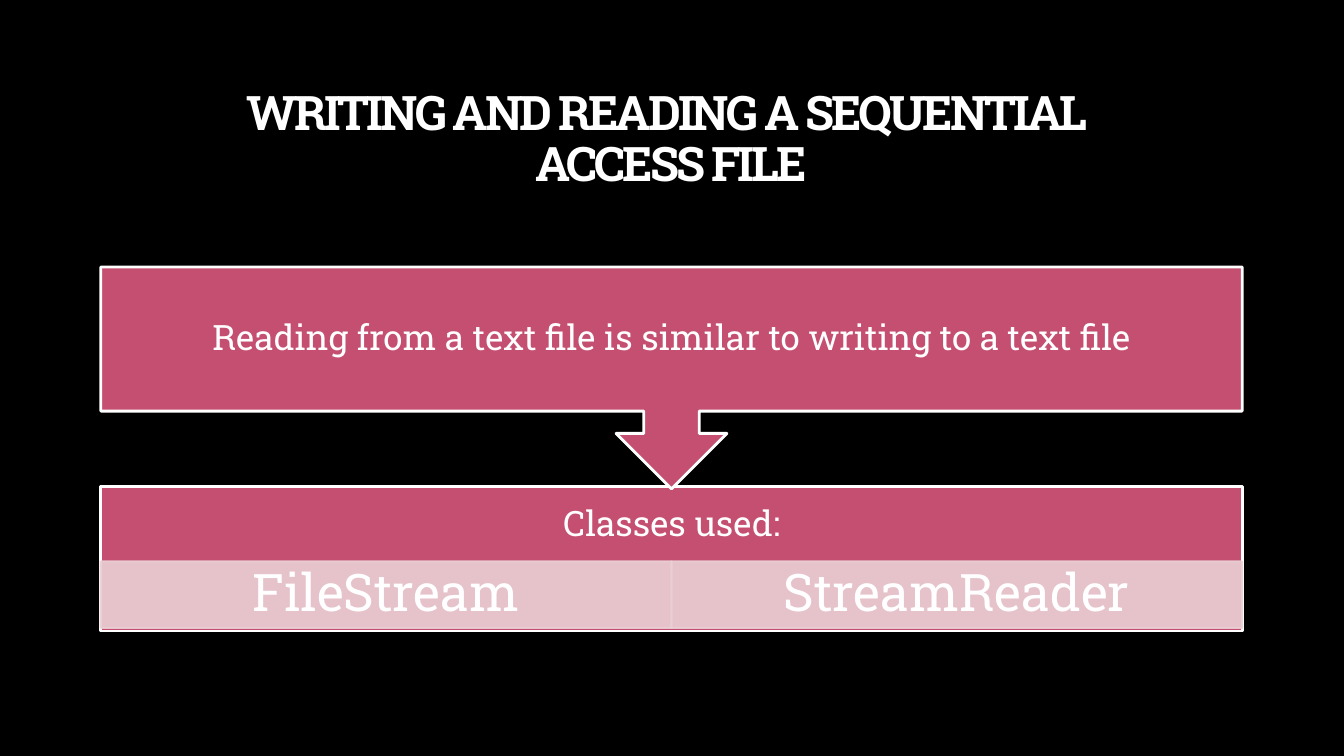
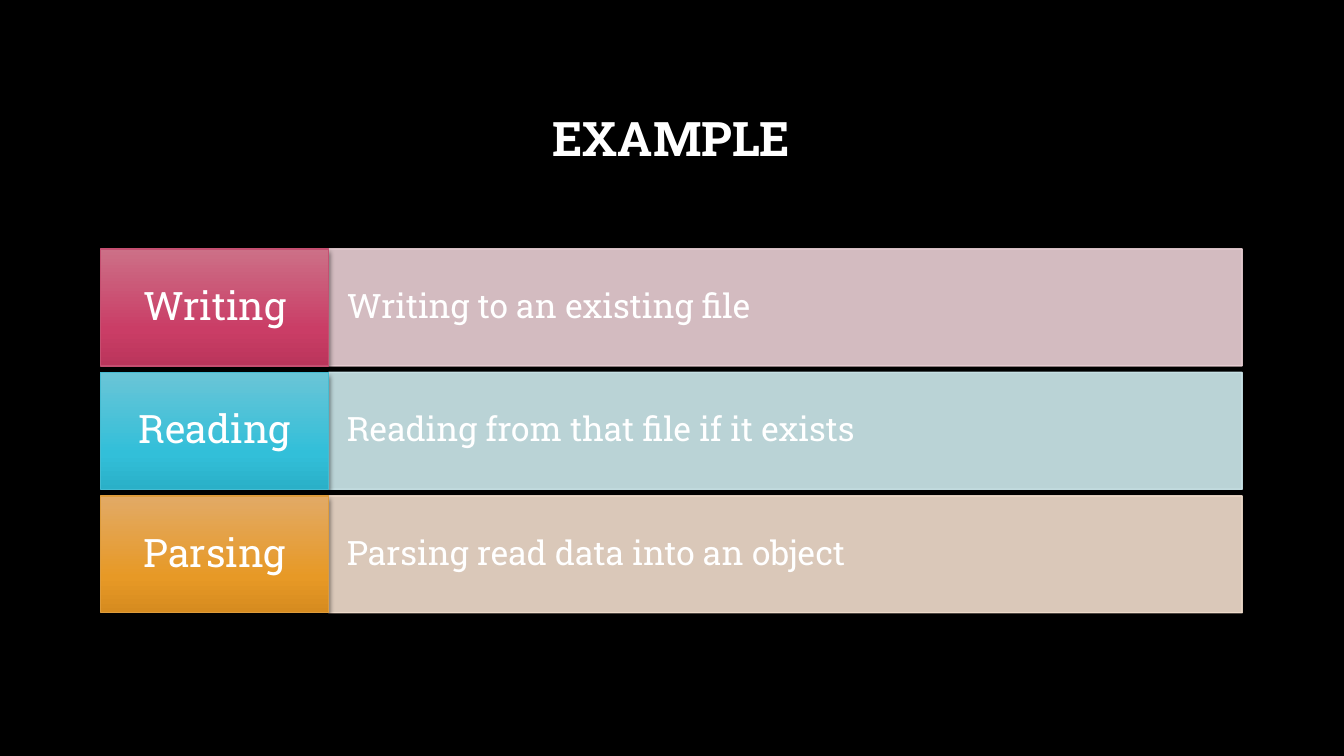
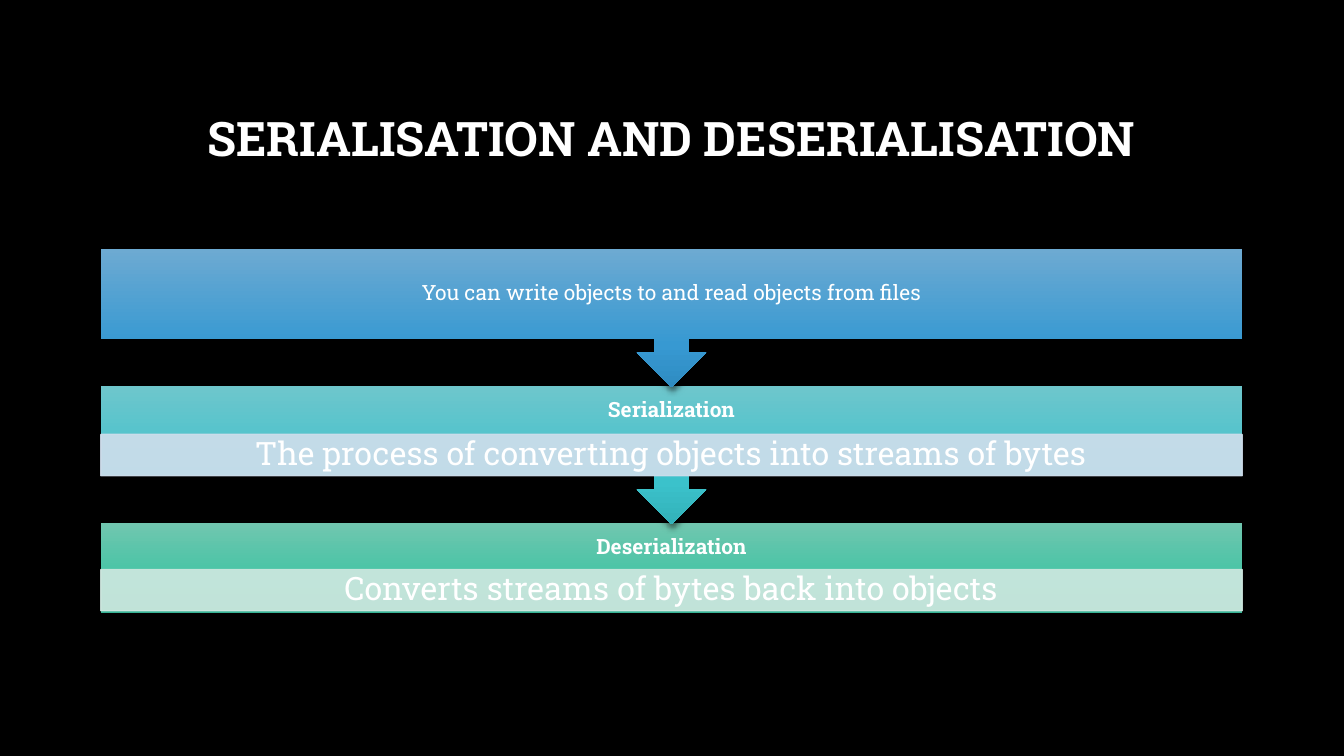
import copy

import pptx
import pptx.dml.color
import pptx.enum.shapes
import pptx.enum.text
import pptx.oxml
import pptx.oxml.ns
import pptx.util
from pptx.util import Inches

RGBColor = pptx.dml.color.RGBColor
SHAPE = pptx.enum.shapes.MSO_SHAPE
ALIGN = pptx.enum.text.PP_ALIGN
MIDDLE = pptx.enum.text.MSO_ANCHOR.MIDDLE
qn = pptx.oxml.ns.qn

# Shared look
BLACK = RGBColor(0x00, 0x00, 0x00)
WHITE = RGBColor(0xFF, 0xFF, 0xFF)
ROSE = RGBColor(0xC5, 0x4F, 0x71)
CYAN = RGBColor(0x45, 0xBC, 0xD2)
AMBER = RGBColor(0xDE, 0x9C, 0x3C)
PALE_ROSE = RGBColor(0xEA, 0xD0, 0xD5)
PALE_CYAN = RGBColor(0xCF, 0xEA, 0xEE)
PALE_AMBER = RGBColor(0xF2, 0xDE, 0xCE)
PALE_BLUE = RGBColor(0xD0, 0xDE, 0xEC)
PALE_GREEN = RGBColor(0xD0, 0xE8, 0xE0)

# Top, middle and bottom colours of the gradients
GRADIENT_POSITIONS = (0, 0.69, 1)
ROSE_GRADIENT = (RGBColor(0xCC, 0x70, 0x87), RGBColor(0xCA, 0x3D, 0x66), RGBColor(0xBA, 0x35, 0x5B))
CYAN_GRADIENT = (RGBColor(0x6A, 0xC5, 0xD7), RGBColor(0x32, 0xBF, 0xD9), RGBColor(0x2A, 0xB0, 0xC8))
AMBER_GRADIENT = (RGBColor(0xE2, 0xAA, 0x66), RGBColor(0xE7, 0x99, 0x26), RGBColor(0xD6, 0x8B, 0x1F))
BLUE_GRADIENT = (RGBColor(0x6D, 0xAA, 0xD2), RGBColor(0x37, 0x99, 0xD2), RGBColor(0x2F, 0x8C, 0xC2))
TEAL_GRADIENT = (RGBColor(0x6E, 0xC6, 0xCC), RGBColor(0x3B, 0xC2, 0xCB), RGBColor(0x33, 0xB2, 0xBA))
GREEN_GRADIENT = (RGBColor(0x70, 0xC6, 0xAF), RGBColor(0x3E, 0xC4, 0xA3), RGBColor(0x37, 0xB3, 0x95))

FONT = {"name": "Roboto Slab", "bold": False}
FRAME = {"word_wrap": True, "vertical_anchor": MIDDLE, "margin_top": 0, "margin_bottom": 0}
SHADOW = (
    f'<a:outerShdw {pptx.oxml.ns.nsdecls("a")} blurRad="50800" dist="38100" dir="5400000" '
    'rotWithShape="0"><a:srgbClr val="000000"><a:alpha val="54000"/></a:srgbClr></a:outerShdw>'
)
LEFT, WIDTH = 1, 11.32

# Content
SEQUENTIAL_TITLE = "WRITING AND READING A SEQUENTIAL \vACCESS FILE"
READING_NOTE = "Reading from a text file is similar to writing to a text file"
CLASSES_HEADING = "Classes used:"
CLASSES = ["FileStream", "StreamReader"]

EXAMPLE_TITLE = "EXAMPLE"
EXAMPLE_STEPS = [
    ("Writing", "Writing to an existing file", ROSE_GRADIENT, ROSE, PALE_ROSE),
    ("Reading", "Reading from that file if it exists", CYAN_GRADIENT, CYAN, PALE_CYAN),
    ("Parsing", "Parsing read data into an object", AMBER_GRADIENT, AMBER, PALE_AMBER),
]

SERIALISATION_TITLE = "SERIALISATION AND DESERIALISATION"
# heading, detail, gradient, detail colour, offset of the detail strip
SERIALISATION_STEPS = [
    ("You can write objects to and read objects from files", None, BLUE_GRADIENT, None, 0),
    ("Serialization", "The process of converting objects into streams of bytes",
     TEAL_GRADIENT, PALE_BLUE, 0.48),
    ("Deserialization", "Converts streams of bytes back into objects",
     GREEN_GRADIENT, PALE_GREEN, 0.46),
]


def write(box, text, size, align=ALIGN.CENTER, side=0.1, spacing=None, **overrides):
    """Fill a shape's frame with one styled white paragraph."""
    frame = box.text_frame
    frame_format = FRAME | {"margin_left": Inches(side), "margin_right": Inches(side)}
    font_format = FONT | {"size": pptx.util.Pt(size)}
    for key, value in overrides.items():
        (font_format if key in FONT else frame_format)[key] = value
    for key, value in frame_format.items():
        setattr(frame, key, value)
    paragraph = frame.paragraphs[0]
    paragraph.text = text
    paragraph.alignment = align
    paragraph.line_spacing = 0.9
    for run in paragraph.runs:
        for key, value in font_format.items():
            setattr(run.font, key, value)
        run.font.color.rgb = WHITE
        if spacing is not None:
            run.font._element.set("spc", str(spacing * 100))


def add_block(slide, at, fill, line=None, line_width=1, preset=SHAPE.RECTANGLE):
    """Add a shape; a tuple of colours as fill gives a shadowed gradient."""
    block = slide.shapes.add_shape(preset, *map(Inches, at))
    block.shadow.inherit = False
    properties = block._element.spPr
    if isinstance(fill, tuple) and not isinstance(fill, RGBColor):
        block.fill.gradient()
        block.fill.gradient_angle = 270
        stops = properties.find(qn("a:gradFill")).find(qn("a:gsLst"))
        stops.append(copy.deepcopy(stops[-1]))
        for stop, position, colour in zip(block.fill.gradient_stops, GRADIENT_POSITIONS, fill):
            stop.position = position
            stop.color.rgb = colour
        properties.find(qn("a:effectLst")).append(pptx.oxml.parse_xml(SHADOW))
    else:
        block.fill.solid()
        block.fill.fore_color.rgb = fill
    if line is None:
        block.line.fill.background()
    else:
        block.line.color.rgb = line
        block.line.width = pptx.util.Pt(line_width)
    return block


def add_strip(slide, at, colour, line_width=1):
    """Add a pale detail strip, 90% opaque in fill and line."""
    strip = add_block(slide, at, colour, colour, line_width)
    for solid in strip._element.spPr.iter(qn("a:solidFill")):
        solid[0].append(solid.makeelement(qn("a:alpha"), {"val": "90000"}))
    return strip


def add_titled_slide(deck, title, spacing=None):
    slide = deck.slides.add_slide(deck.slide_layouts[6])
    title_box = slide.shapes.add_textbox(*map(Inches, (LEFT, 0.67, WIDTH, 1.45)))
    write(title_box, title, 34, bold=True, spacing=spacing)
    return slide


def build_sequential(deck):
    slide = add_titled_slide(deck, SEQUENTIAL_TITLE, spacing=-2)
    # Classes panel
    strip_height, strip_width = 0.66, WIDTH / len(CLASSES)
    panel = add_block(slide, (LEFT, 4.83, WIDTH, 1.43), ROSE, WHITE, 2)
    write(panel, CLASSES_HEADING, 25, margin_bottom=Inches(strip_height))
    for column, name in enumerate(CLASSES):
        at = (LEFT + column * strip_width, 5.57, strip_width, strip_height)
        write(add_strip(slide, at, PALE_ROSE, 1.5), name, 37, side=0.29)
    # Callout pointing at the panel
    callout = add_block(slide, (LEFT, 2.65, WIDTH, 2.2), ROSE, WHITE, 2, SHAPE.DOWN_ARROW_CALLOUT)
    write(callout, READING_NOTE, 25, side=0.19)


def build_example(deck):
    slide = add_titled_slide(deck, EXAMPLE_TITLE)
    top, bottom, height, label_width = 2.47, 6.08, 1.16, 2.26
    pitch = (bottom - top - height) / (len(EXAMPLE_STEPS) - 1)
    for row, (label, detail, gradient, edge, pale) in enumerate(EXAMPLE_STEPS):
        y = top + row * pitch
        strip = add_strip(slide, (LEFT + label_width, y, WIDTH - label_width, height), pale)
        write(strip, detail, 24, ALIGN.LEFT, 0.18)
        write(add_block(slide, (LEFT, y, label_width, height), gradient, edge), label, 28)


def build_serialisation(deck):
    slide = add_titled_slide(deck, SERIALISATION_TITLE)
    top, pitch, body_height, callout_height, strip_height = 2.47, 1.36, 0.89, 1.37, 0.41
    last = len(SERIALISATION_STEPS) - 1
    # Bottom step first, so each arrow lies over the step below it
    for row, step in reversed(list(enumerate(SERIALISATION_STEPS))):
        heading, detail, gradient, pale, offset = step
        y = top + row * pitch
        height, preset = ((body_height, SHAPE.RECTANGLE) if row == last
                          else (callout_height, SHAPE.DOWN_ARROW_CALLOUT))
        body = add_block(slide, (LEFT, y, WIDTH, height), gradient, preset=preset)
        write(body, heading, 15, bold=bool(detail),
              margin_bottom=Inches(strip_height if detail else 0))
        if detail:
            strip = add_strip(slide, (LEFT, y + offset, WIDTH, strip_height), pale)
            write(strip, detail, 23, side=0.18)


def main():
    deck = pptx.Presentation()
    deck.slide_width, deck.slide_height = Inches(13.33), Inches(7.5)
    background = deck.slide_master.background.fill
    background.solid()
    background.fore_color.rgb = BLACK
    for build in (build_sequential, build_example, build_serialisation):
        build(deck)
    deck.save("out.pptx")


if __name__ == "__main__":
    main()
